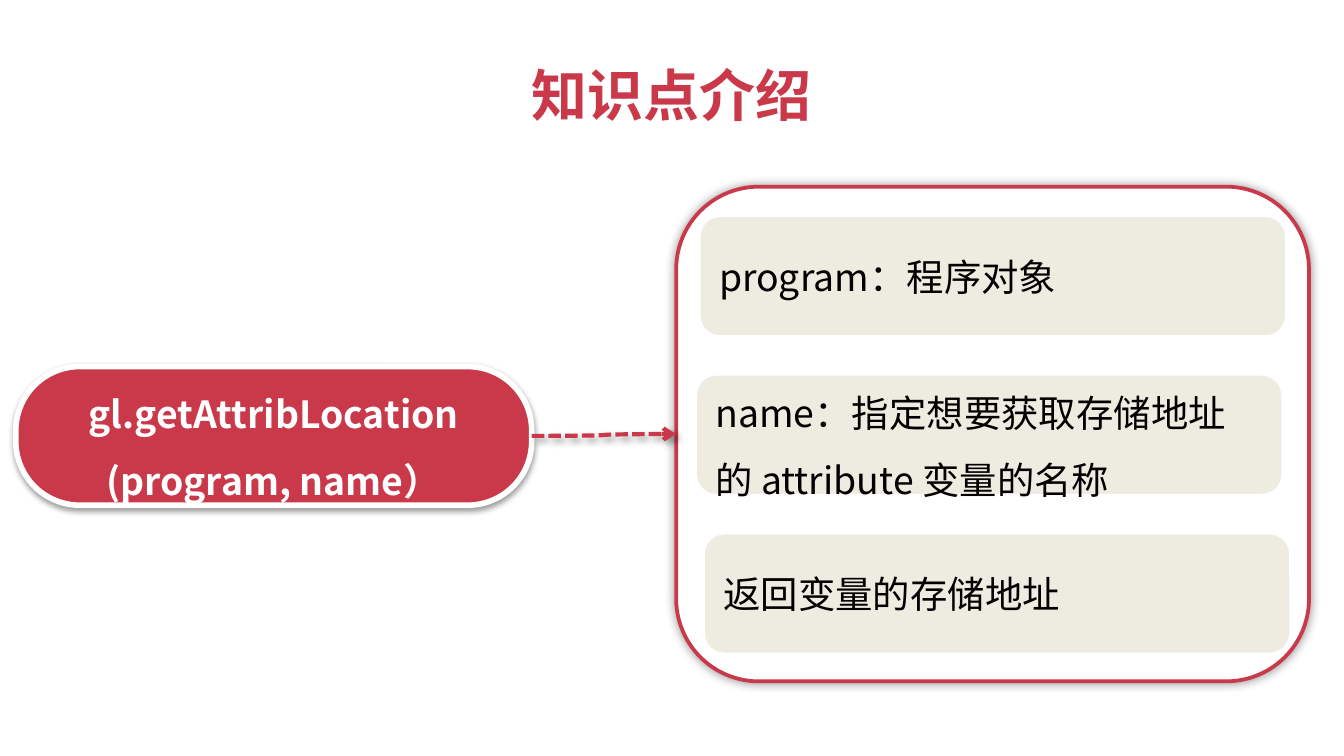
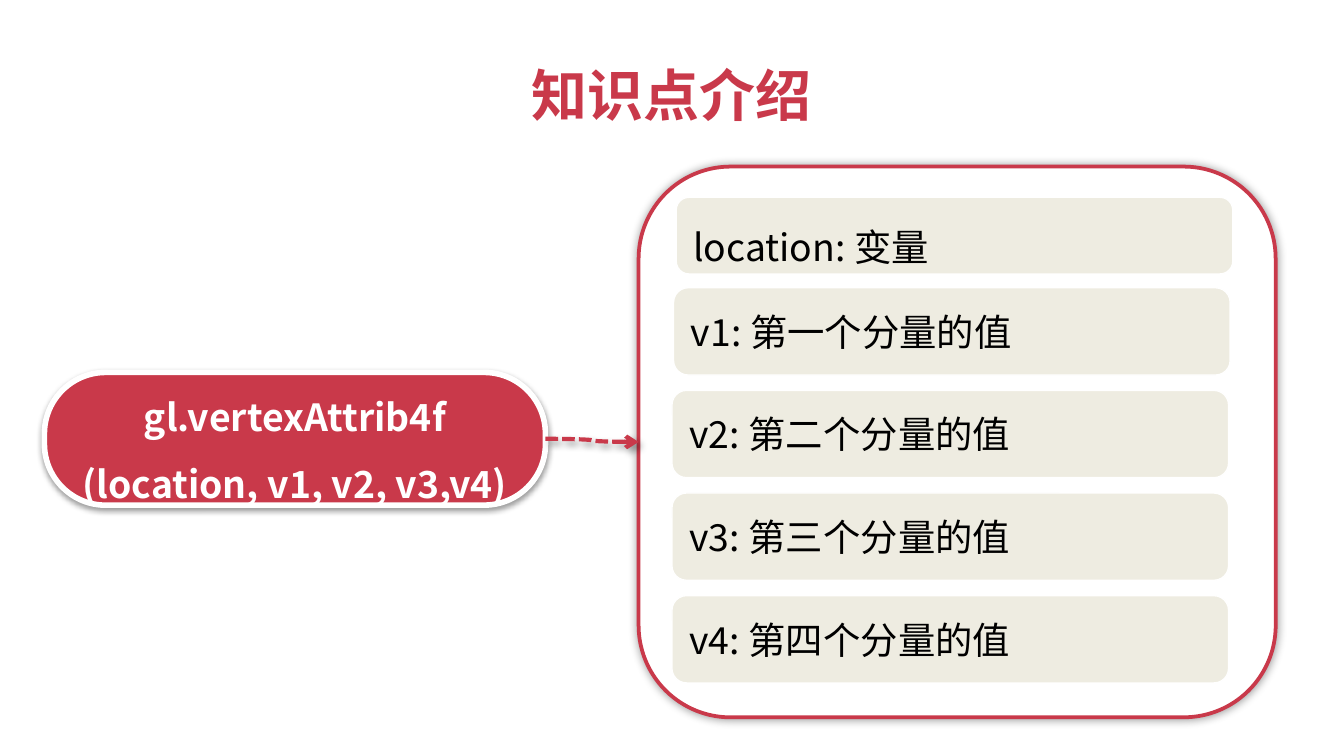
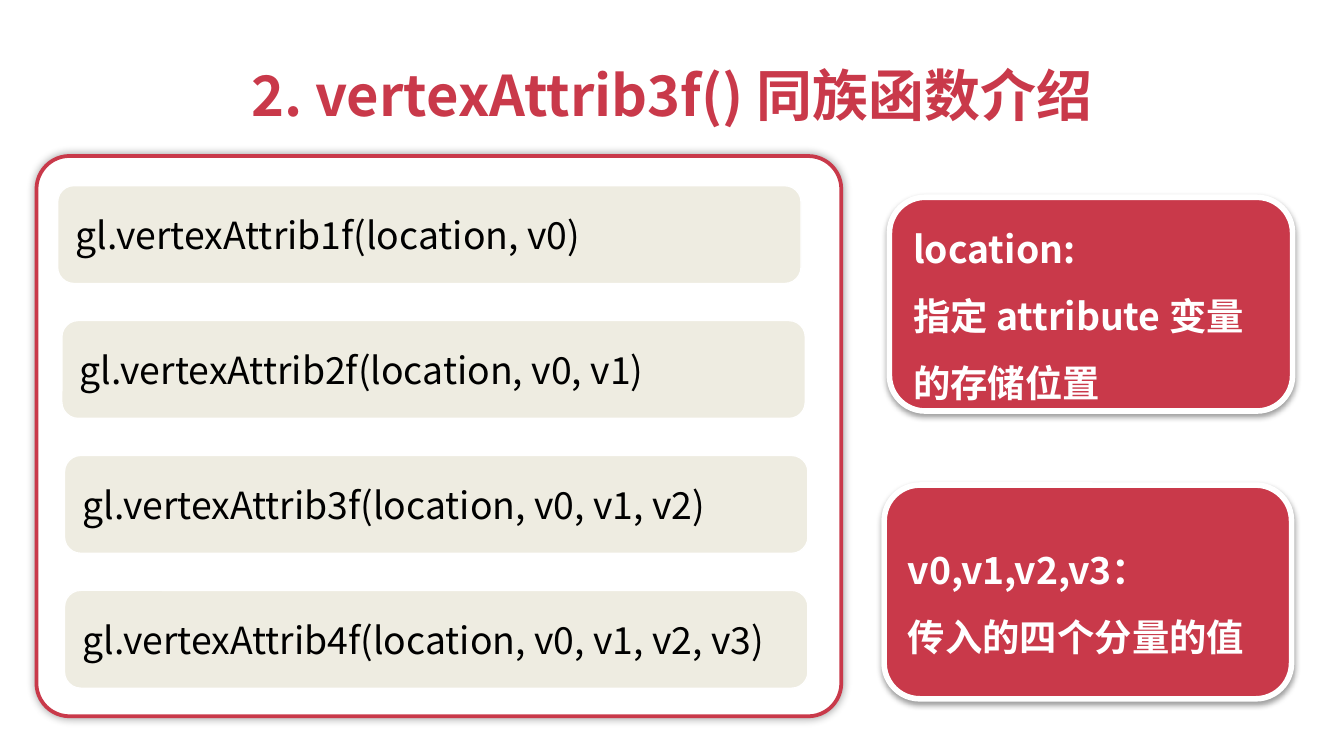
"""Build three slides that explain the vertex attribute functions."""
from lxml.etree import SubElement
from pptx import Presentation
from pptx.dml.color import RGBColor
from pptx.enum.dml import MSO_LINE as Dash
from pptx.enum.shapes import MSO_CONNECTOR as Link, MSO_SHAPE as Form
from pptx.enum.text import MSO_ANCHOR as Anchor, MSO_AUTO_SIZE as Fit, PP_ALIGN as Align
from pptx.oxml.ns import qn
from pptx.util import Cm, Pt

FONT = "Noto Sans CJK SC"
RED, SAND, WHITE, BLACK = "C9394A", "EEECE1", "FFFFFF", "000000"
WIDE, HIGH = 25.4, 14.29
GLOW = dict(blur=5, dist=0, angle=0, alpha=40)
DROP = dict(blur=3.1, dist=1.6, angle=90, alpha=38)
TRAIL = dict(blur=4, dist=3, angle=45, alpha=40)

SLIDES = [
    dict(
        title="知识点介绍", width=5.87,
        panel=(12.78, 3.53, 11.96, 9.35), bend=0.167,
        stacks=[dict(top=4.09, step=3, size=(11.07, 2.26), rows=[
            (13.23, "program：程序对象", None),
            (13.16, "name：指定想要获取存储地址的 attribute 变量的名称", 1.5),
            (13.31, "返回变量的存储地址", None)])],
        cards=[((0.3, 6.93, 9.75, 2.62), "gl.getAttribLocation\n(program, name）")],
        linked=True),
    dict(
        title="知识点介绍", width=5.87,
        panel=(12.07, 3.15, 12.04, 10.41), bend=0.167,
        stacks=[
            dict(top=3.73, step=0, size=(10.52, 1.45), rows=[
                (12.78, "location: 变量", 1.5)]),
            dict(top=5.44, step=1.94, size=(10.52, 1.65), rows=[
                (12.73, "v1: 第⼀个分量的值", None),
                (12.7, "v2: 第二个分量的值", None),
                (12.7, "v3: 第三个分量的值", None),
                (12.7, "v4: 第四个分量的值", None)])],
        cards=[((0.84, 7.04, 9.47, 2.51), "gl.vertexAttrib4f\n(location, v1, v2, v3,v4)")],
        linked=True),
    dict(
        title="2. vertexAttrib3f() 同族函数介绍", width=17,
        panel=(0.69, 2.95, 15.21, 10.59), bend=0.059,
        stacks=[dict(top=3.51, step=2.55, size=(14.05, 1.85), rows=[
            (1.09, "gl.vertexAttrib1f(location, v0)", None),
            (1.17, "gl.vertexAttrib2f(location, v0, v1)", None),
            (1.22, "gl.vertexAttrib3f(location, v0, v1, v2)", None),
            (1.22, "gl.vertexAttrib4f(location, v0, v1, v2, v3)", None)])],
        cards=[
            ((16.81, 3.73, 7.62, 4.04), "location:\n指定 attribute 变量的存储位置"),
            ((16.71, 9.17, 7.7, 4.04), "v0,v1,v2,v3：\n传入的四个分量的值")],
        linked=False),
]


def paint(code):
    return RGBColor.from_string(code)


def write(shape, text, size=20, color=BLACK, bold=False, align=Align.LEFT, space=None, wrap=True):
    frame = shape.text_frame
    frame.auto_size = Fit.NONE
    frame.word_wrap = wrap
    frame.vertical_anchor = Anchor.MIDDLE
    frame.text = text
    for para in frame.paragraphs:
        para.alignment = align
        para.line_spacing = space
        for run in para.runs:
            font = run.font
            font.name, font.size, font.bold = FONT, Pt(size), bold
            font.color.rgb = paint(color)
            SubElement(font._element, qn("a:ea"), typeface=FONT)


def cast(item, blur, dist, angle, alpha):
    effects = SubElement(item._element.spPr, qn("a:effectLst"))
    outer = SubElement(effects, qn("a:outerShdw"), blurRad=str(Pt(blur)), dist=str(Pt(dist)),
                       dir=str(angle * 60000), algn="ctr", rotWithShape="0")
    tint = SubElement(outer, qn("a:srgbClr"), val=BLACK)
    SubElement(tint, qn("a:alpha"), val=str(alpha * 1000))


def block(slide, box, fill, edge, weight, bend=0.167, shade=None):
    shape = slide.shapes.add_shape(Form.ROUNDED_RECTANGLE, *map(Cm, box))
    shape.adjustments[0] = bend
    shape.fill.solid()
    shape.fill.fore_color.rgb = paint(fill)
    shape.line.color.rgb = paint(edge)
    shape.line.width = Pt(weight)
    if shade:
        cast(shape, **shade)
    else:
        shape.shadow.inherit = False
    return shape


def join(slide, start, end):
    arrow = slide.shapes.add_connector(Link.CURVE, 0, 0, 0, 0)
    arrow.begin_connect(start, 3)
    arrow.end_connect(end, 1)
    line = arrow.line
    line.color.rgb = paint(RED)
    line.width = Pt(2.25)
    line.dash_style = Dash.SQUARE_DOT
    SubElement(line._get_or_add_ln(), qn("a:tailEnd"), type="arrow")
    cast(arrow, **TRAIL)


def build(deck, data):
    slide = deck.slides.add_slide(deck.slide_layouts[5])
    title, width = slide.shapes.title, data["width"]
    title.left, title.top = Cm((WIDE - width) / 2), Cm(1)
    title.width, title.height = Cm(width), Cm(1.55)
    write(title, data["title"], size=30, color=RED, bold=True, align=Align.CENTER, wrap=False)

    panel = block(slide, data["panel"], WHITE, RED, 2, data["bend"], GLOW)
    for stack in data["stacks"]:
        for i, (left, text, space) in enumerate(stack["rows"]):
            box = (left, stack["top"] + i * stack["step"], *stack["size"])
            write(block(slide, box, SAND, WHITE, 0.75), text, space=space)

    linked = data["linked"]
    for box, text in data["cards"]:
        card = block(slide, box, RED, WHITE, 3, 0.461 if linked else 0.167, DROP)
        write(card, text, color=WHITE, bold=True, space=1.5,
              align=Align.CENTER if linked else Align.LEFT)
        if linked:
            join(slide, card, panel)


def main():
    deck = Presentation()
    deck.slide_width, deck.slide_height = Cm(WIDE), Cm(HIGH)
    for data in SLIDES:
        build(deck, data)
    deck.save("out.pptx")


if __name__ == "__main__":
    main()
